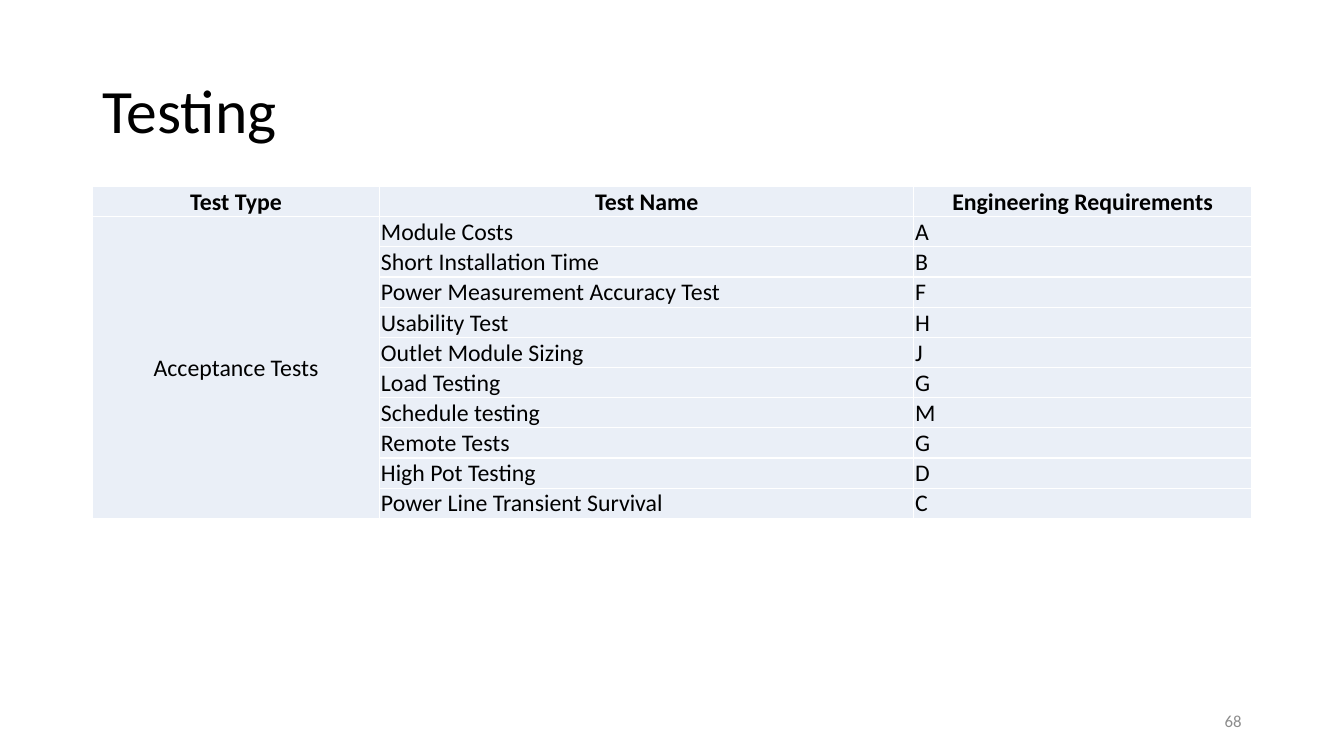
from lxml import etree
from pptx import Presentation
from pptx.dml.color import RGBColor
from pptx.enum.text import MSO_ANCHOR, PP_ALIGN
from pptx.oxml.ns import qn
from pptx.util import Cm, Pt

LEFT, CENTER, RIGHT = PP_ALIGN.LEFT, PP_ALIGN.CENTER, PP_ALIGN.RIGHT
MIDDLE, BOTTOM = MSO_ANCHOR.MIDDLE, MSO_ANCHOR.BOTTOM

FONT = "Calibri"
BLACK, GREY, WHITE, PALE_BLUE = "000000", "8C8C8C", "FFFFFF", "EAEFF7"
MARGIN_LEFT, CONTENT_WIDTH = 2.33, 29.21
COLUMN_WIDTHS = (7.24, 13.46, 8.51)
ROW_HEIGHT = 0.76
HEADERS = ("Test Type", "Test Name", "Engineering Requirements")
TEST_TYPE = "Acceptance Tests"
TESTS = (
    ("Module Costs", "A"),
    ("Short Installation Time", "B"),
    ("Power Measurement Accuracy Test", "F"),
    ("Usability Test", "H"),
    ("Outlet Module Sizing", "J"),
    ("Load Testing", "G"),
    ("Schedule testing", "M"),
    ("Remote Tests", "G"),
    ("High Pot Testing", "D"),
    ("Power Line Transient Survival", "C"),
)


def rgb(color):
    return RGBColor.from_string(color)


def write(tf, text, size, color=BLACK, align=LEFT, bold=False):
    tf.text = text
    p = tf.paragraphs[0]
    p.alignment = align
    for r in p.runs:
        r.font.name = FONT
        r.font.size = Pt(size)
        r.font.bold = bold
        r.font.color.rgb = rgb(color)
    return p


def add_text(s, text, left, top, width, height, size, color=BLACK, align=LEFT):
    sp = s.shapes.add_textbox(Cm(left), Cm(top), Cm(width), Cm(height))
    tf = sp.text_frame
    tf.word_wrap = True
    tf.vertical_anchor = MIDDLE
    return write(tf, text, size, color, align)


def set_borders(cell, color, width):
    tc_pr = cell._tc.get_or_add_tcPr()
    for side in ("a:lnL", "a:lnR", "a:lnT", "a:lnB"):
        ln = etree.SubElement(tc_pr, qn(side), w=str(Pt(width)))
        fill = etree.SubElement(ln, qn("a:solidFill"))
        etree.SubElement(fill, qn("a:srgbClr"), val=color)


def fill_cell(cell, text, align, anchor, bold):
    set_borders(cell, WHITE, 1)
    cell.fill.solid()
    cell.fill.fore_color.rgb = rgb(PALE_BLUE)
    cell.margin_left = cell.margin_right = cell.margin_top = Cm(0.03)
    cell.margin_bottom = Cm(0)
    cell.vertical_anchor = anchor
    write(cell.text_frame, text, 17, align=align, bold=bold)


def add_test_table(s):
    rows = [HEADERS]
    for i, test in enumerate(TESTS):
        rows.append(("" if i else TEST_TYPE, *test))
    table = s.shapes.add_table(
        len(rows), len(HEADERS), Cm(MARGIN_LEFT), Cm(4.7),
        Cm(CONTENT_WIDTH), Cm(ROW_HEIGHT * len(rows))).table
    for column, width in zip(table.columns, COLUMN_WIDTHS):
        column.width = Cm(width)
    for i, values in enumerate(rows):
        table.rows[i].height = Cm(ROW_HEIGHT)
        for j, text in enumerate(values):
            align = CENTER if i == 0 or j == 0 else LEFT
            anchor = MIDDLE if j == 0 else BOTTOM
            fill_cell(table.cell(i, j), text, align, anchor, bold=i == 0)
    table.cell(1, 0).merge(table.cell(len(TESTS), 0))


def main():
    prs = Presentation()
    prs.slide_width, prs.slide_height = Cm(33.87), Cm(19.05)
    s = prs.slides.add_slide(prs.slide_layouts[6])
    title = add_text(s, "Testing", MARGIN_LEFT, 1.01, CONTENT_WIDTH, 3.68, 44)
    title.line_spacing = 0.9
    add_test_table(s)
    add_text(s, "68", 23.92, 17.66, 7.62, 1.01, 12, GREY, RIGHT)
    prs.save("out.pptx")


if __name__ == "__main__":
    main()
